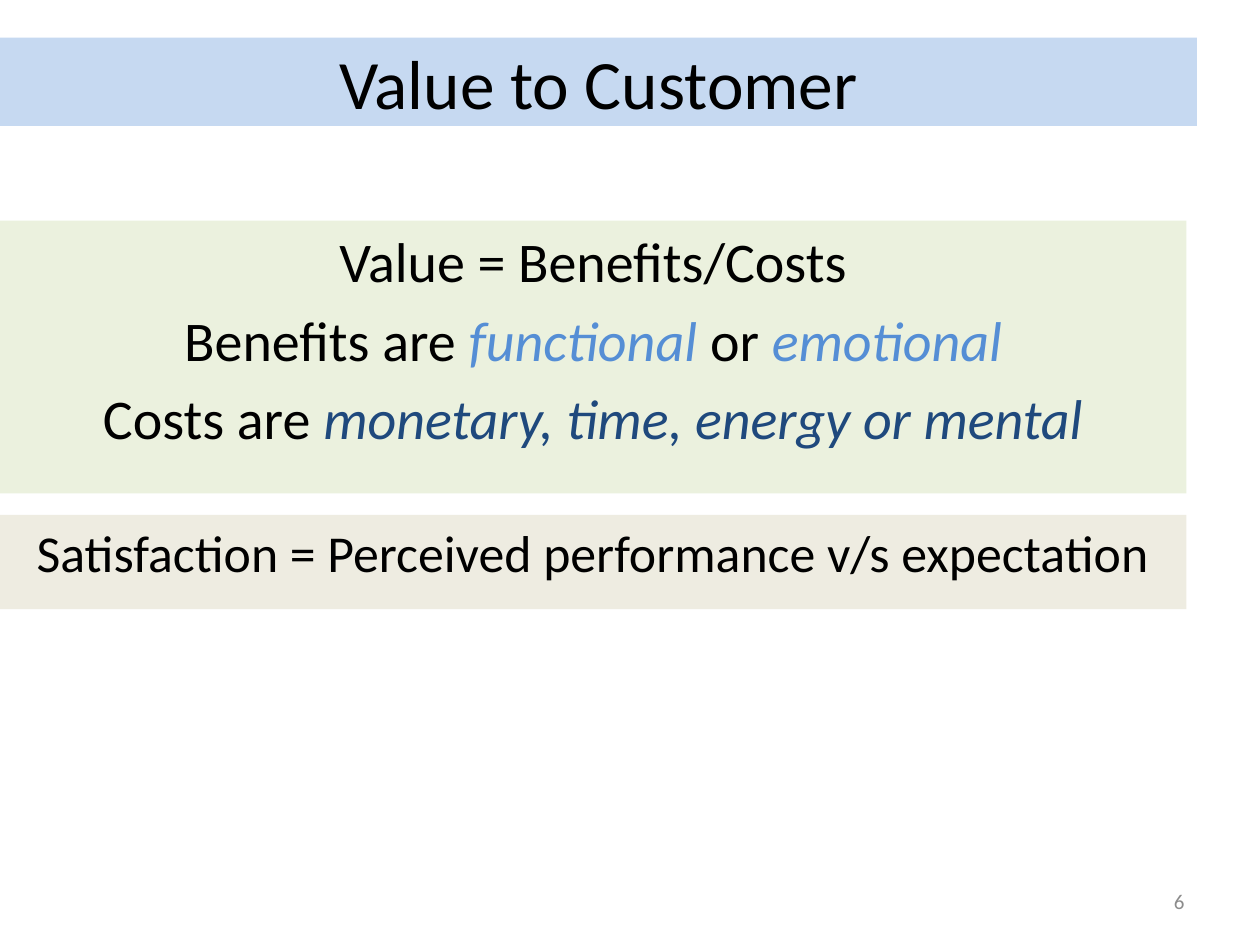
from typing import NamedTuple

from pptx import Presentation
from pptx.dml.color import RGBColor as Rgb
from pptx.enum.shapes import MSO_SHAPE as Kind
from pptx.enum.text import MSO_ANCHOR as Anchor, MSO_AUTO_SIZE as Fit, PP_ALIGN as Align
from pptx.util import Cm, Pt

BLACK, SKY, NAVY = "000000", "558ED5", "1F497D"


class Run(NamedTuple):
    text: str
    hue: str = BLACK
    slant: bool = False


class Band(NamedTuple):
    top: float
    tall: float
    fill: str
    size: float
    lines: list[list[Run]]


BANDS = [
    Band(4.45, 5.5, "EBF1DE", 32, [
        [Run("Value = Benefits/Costs")],
        [Run("Benefits are "), Run("functional ", SKY, True),
         Run("or "), Run("emotional", SKY, True)],
        [Run("Costs are "), Run("monetary, time, energy or mental", NAVY, True)],
    ]),
    Band(10.38, 1.9, "EEECE1", 29.6,
         [[Run("Satisfaction = Perceived performance v/s expectation")]]),
]


def color(target, hue: str) -> None:
    """Give a fill or font format a solid colour."""
    target.rgb = Rgb.from_string(hue)


def paint(shape, hue: str) -> None:
    """Fill a shape with one colour."""
    shape.fill.solid()
    color(shape.fill.fore_color, hue)


def place(shape, left: float, top: float, wide: float, tall: float) -> None:
    """Set the position and size of a shape in centimetres."""
    shape.left, shape.top = Cm(left), Cm(top)
    shape.width, shape.height = Cm(wide), Cm(tall)


def write(shape, lines: list[list[Run]], *, size: float, align=Align.CENTER,
          anchor=Anchor.MIDDLE, gap: float = 0) -> None:
    """Write lines of runs into a shape."""
    frame = shape.text_frame
    frame.word_wrap = True
    frame.auto_size = Fit.NONE
    frame.vertical_anchor = anchor
    for i, line in enumerate(lines):
        para = frame.add_paragraph() if i else frame.paragraphs[0]
        para.alignment = align
        para.space_before = Pt(gap if i else 0)
        for part in line:
            run = para.add_run()
            run.text = part.text
            run.font.name = "Calibri"
            run.font.size = Pt(size)
            run.font.italic = part.slant
            color(run.font.color, part.hue)


def draw(slide, band: Band) -> None:
    """Draw a coloured band with its lines of text."""
    shape = slide.shapes.add_shape(
        Kind.RECTANGLE, 0, Cm(band.top), Cm(23.92), Cm(band.tall))
    shape.shadow.inherit = False
    shape.line.fill.background()
    paint(shape, band.fill)
    write(shape, band.lines, size=band.size, anchor=Anchor.TOP, gap=band.size / 5)


def main() -> None:
    """Build the slide and save it."""
    deck = Presentation()
    deck.slide_width, deck.slide_height = Cm(25.4), Cm(19.05)
    slide = deck.slides.add_slide(deck.slide_layouts[5])
    title = slide.shapes.title
    place(title, 0, 0.76, 24.13, 1.78)
    paint(title, "C6D9F1")
    write(title, [[Run("Value to Customer")]], size=39.6)
    for band in BANDS:
        draw(slide, band)
    page = slide.shapes.add_textbox(Cm(18.2), Cm(17.65), Cm(5.93), Cm(1.02))
    write(page, [[Run("6", "8C8C8C")]], size=12, align=Align.RIGHT)
    deck.save("out.pptx")


if __name__ == "__main__":
    main()
